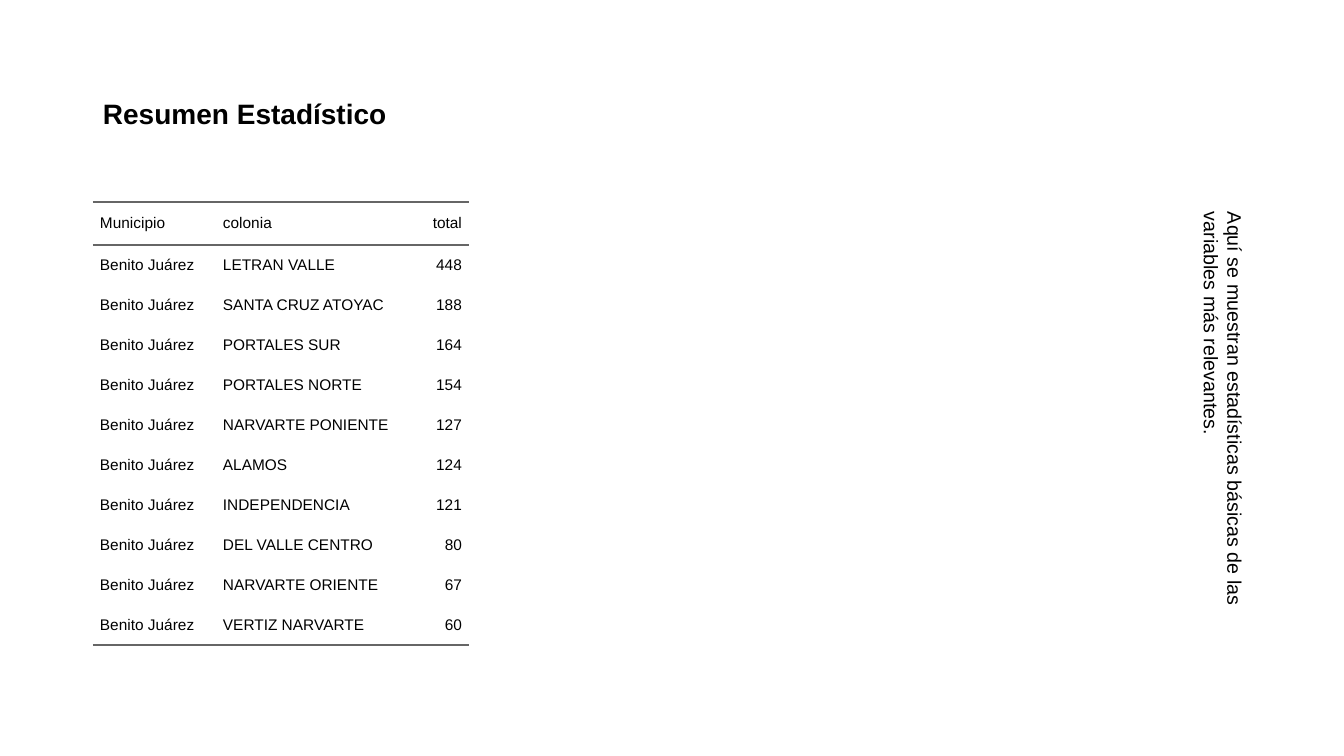
import pptx
import pptx.dml.color
import pptx.enum.text
import pptx.oxml.ns
import pptx.util
import lxml.etree

BLACK = pptx.dml.color.RGBColor(0x00, 0x00, 0x00)
GRAY = pptx.dml.color.RGBColor(0x66, 0x66, 0x66)
ALIGN = pptx.enum.text.PP_ALIGN
ANCHOR = pptx.enum.text.MSO_ANCHOR
NO_STYLE = "{2D5ABB26-0587-4C30-8999-92F81FD0307C}"

MUNICIPIO = "Benito Juárez"
HEADER = ("Municipio", "colonia", "total")
TOTALS = {
    "LETRAN VALLE": 448,
    "SANTA CRUZ ATOYAC": 188,
    "PORTALES SUR": 164,
    "PORTALES NORTE": 154,
    "NARVARTE PONIENTE": 127,
    "ALAMOS": 124,
    "INDEPENDENCIA": 121,
    "DEL VALLE CENTRO": 80,
    "NARVARTE ORIENTE": 67,
    "VERTIZ NARVARTE": 60,
}


def px(n):
    return pptx.util.Emu(round(n * 914400 / 100.8))


class Deck:
    font = "Arial"
    color = BLACK
    rule_color = GRAY
    rule_width = pptx.util.Pt(1.5)
    cell_pad = 7

    def __init__(self, width, height):
        self.prs = pptx.Presentation()
        self.prs.slide_width = px(width)
        self.prs.slide_height = px(height)
        self.s = self.prs.slides.add_slide(self.prs.slide_layouts[6])

    def run(self, p, text, size, bold=False):
        r = p.add_run()
        r.text = text
        r.font.name = self.font
        r.font.size = pptx.util.Pt(size)
        r.font.bold = bold
        r.font.color.rgb = self.color

    def text(self, x, y, w, h, text, size, bold=False, anchor=ANCHOR.TOP, vert=None):
        sp = self.s.shapes.add_textbox(px(x), px(y), px(w), px(h))
        tf = sp.text_frame
        tf.word_wrap = True
        tf.vertical_anchor = anchor
        if vert:
            tf._txBody.bodyPr.set("vert", vert)
        self.run(tf.paragraphs[0], text, size, bold)

    def rule(self, cell, side):
        qn = pptx.oxml.ns.qn
        ln = lxml.etree.SubElement(cell._tc.get_or_add_tcPr(), qn(f"a:ln{side}"), w=str(self.rule_width))
        fill = lxml.etree.SubElement(ln, qn("a:solidFill"))
        lxml.etree.SubElement(fill, qn("a:srgbClr"), val=str(self.rule_color))

    def cell(self, cell, text, size, align, sides):
        for side in sides:
            self.rule(cell, side)
        cell.fill.background()
        cell.vertical_anchor = ANCHOR.MIDDLE
        cell.margin_left = cell.margin_right = 0
        cell.margin_top = cell.margin_bottom = px(self.cell_pad)
        p = cell.text_frame.paragraphs[0]
        p.alignment = align
        p.space_before = p.space_after = pptx.util.Pt(5)
        pPr = p._p.get_or_add_pPr()
        for name in ("marL", "marR"):
            pPr.set(name, str(px(self.cell_pad)))
        self.run(p, text, size)

    def table(self, x, y, widths, heights, rows, size):
        frame = self.s.shapes.add_table(len(rows), len(widths), px(x), px(y), px(sum(widths)), px(sum(heights)))
        table = frame.table
        table.first_row = table.horz_banding = False
        table._tbl.tblPr.find(pptx.oxml.ns.qn("a:tableStyleId")).text = NO_STYLE
        for column, width in zip(table.columns, widths):
            column.width = px(width)
        for row, height in zip(table.rows, heights):
            row.height = px(height)
        last = len(rows) - 1
        for i, row in enumerate(rows):
            sides = {0: "TB", last: "B"}.get(i, "")
            for j, value in enumerate(row):
                align = ALIGN.RIGHT if j == len(row) - 1 else ALIGN.LEFT
                self.cell(table.cell(i, j), str(value), size, align, sides)


def main():
    deck = Deck(1344, 756)
    deck.text(93, 40, 1159, 146, "Resumen Estadístico", 20, bold=True, anchor=ANCHOR.MIDDLE)
    deck.text(93, 202, 1159, 480, "Aquí se muestran estadísticas básicas de las variables más relevantes.", 14, vert="eaVert")
    rows = [HEADER] + [(MUNICIPIO, colonia, total) for colonia, total in TOTALS.items()]
    deck.table(93, 202, (123, 196, 57), [43] + [40] * len(TOTALS), rows, 11)
    deck.prs.save("out.pptx")


if __name__ == "__main__":
    main()
